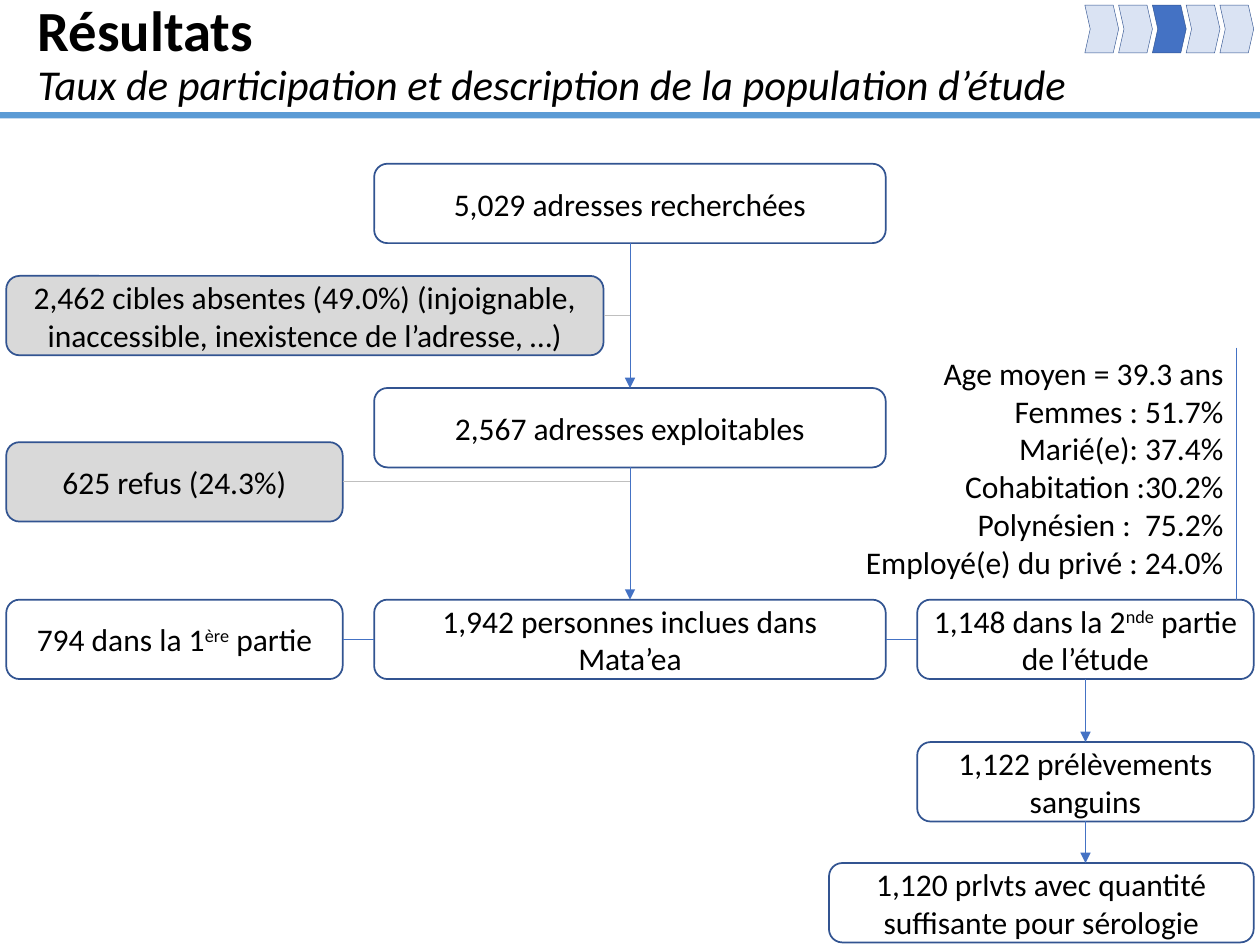
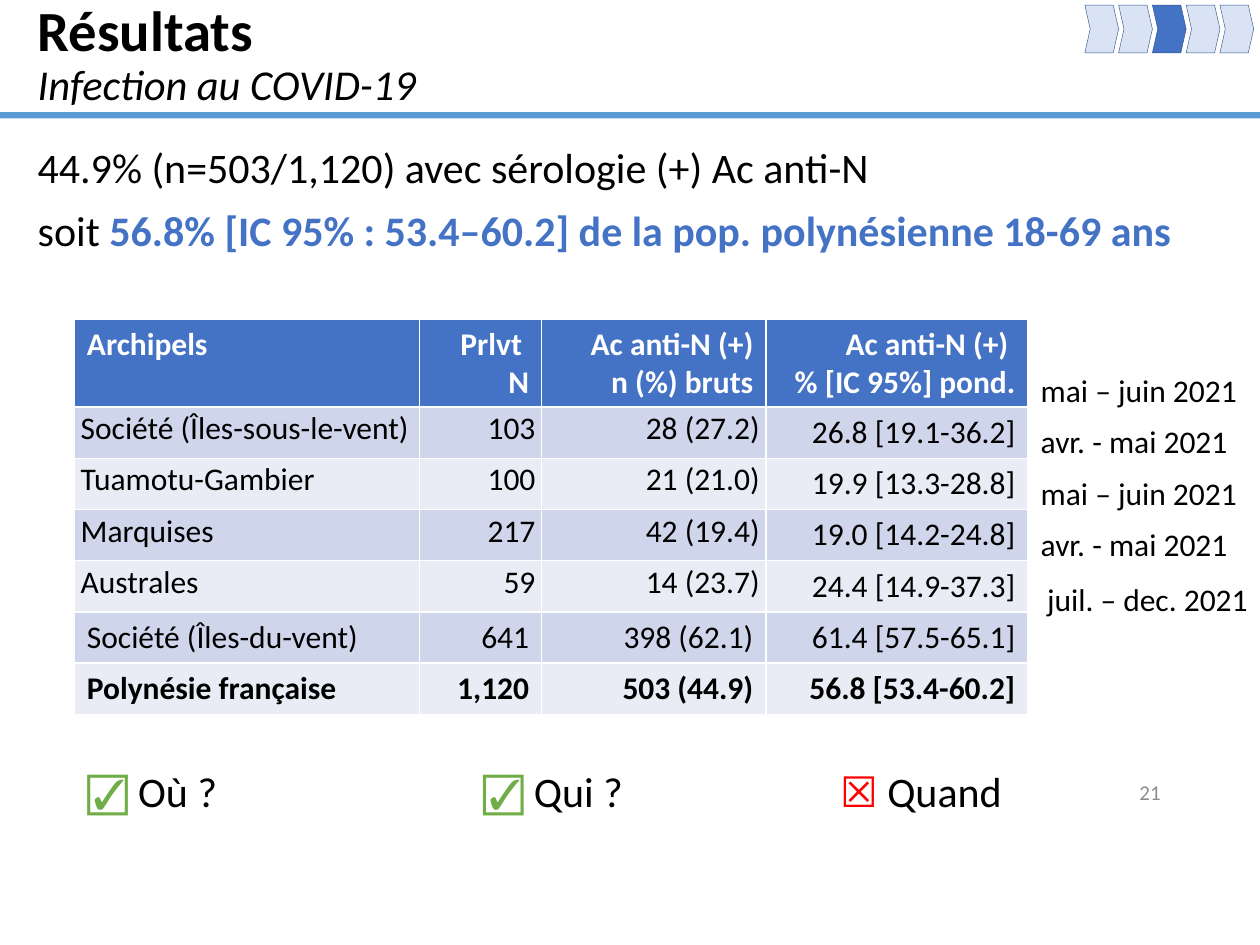
from collections import namedtuple

from lxml import etree
from pptx import Presentation
from pptx.dml.color import RGBColor
from pptx.enum.shapes import MSO_CONNECTOR, MSO_SHAPE
from pptx.enum.text import MSO_ANCHOR, PP_ALIGN
from pptx.oxml.ns import qn
from pptx.util import Inches, Pt

SLIDE_WIDTH, SLIDE_HEIGHT = Inches(10), Inches(7.5)
COLUMN, ROW = SLIDE_WIDTH / 100, SLIDE_HEIGHT / 75
FONT = "Calibri"
BLACK, WHITE, GREY, MUTED = "000000", "FFFFFF", "D9D9D9", "8C8C8C"
BLUE, BAND, OUTLINE, PALE = "4472C4", "5B9BD5", "325491", "DAE3F3"
BRANCH, GREEN, RED = "BFBFBF", "70AD47", "FF0000"
STRIPES = ("CFD5EA", "E9EBF5")
LEFT, CENTER, RIGHT, JUSTIFY = PP_ALIGN.LEFT, PP_ALIGN.CENTER, PP_ALIGN.RIGHT, PP_ALIGN.JUSTIFY
TOP, MIDDLE = MSO_ANCHOR.TOP, MSO_ANCHOR.MIDDLE
RECTANGLE, ROUNDED, CHEVRON = MSO_SHAPE.RECTANGLE, MSO_SHAPE.ROUNDED_RECTANGLE, MSO_SHAPE.CHEVRON
STRAIGHT = MSO_CONNECTOR.STRAIGHT


class Box(namedtuple("Box", "left top width height")):
    @property
    def right(self):
        return self.left + self.width

    @property
    def bottom(self):
        return self.top + self.height

    @property
    def center(self):
        return self.left + self.width / 2

    @property
    def middle(self):
        return self.top + self.height / 2

    def inner(self, left, top, width, height):
        return Box(self.left + left, self.top + top, width, height)

    def lengths(self):
        return (int(self.left * COLUMN), int(self.top * ROW),
                int(self.width * COLUMN), int(self.height * ROW))


def rgb(color):
    return RGBColor.from_string(color)


def add_spans(para, spans, size=18, color=BLACK, bold=False):
    for item in spans:
        words, style = (item, {}) if isinstance(item, str) else item
        span = para.add_run()
        span.text = words
        span.font.name = FONT
        span.font.size = Pt(style.get("size", size))
        span.font.bold = style.get("bold", bold)
        span.font.italic = style.get("italic", False)
        span.font.color.rgb = rgb(style.get("color", color))
        if "raised" in style:
            span.font._element.set("baseline", "30000")


def write(frame, lines, align=LEFT, gap=0, spacing=None, after=None, **style):
    for index, spans in enumerate(lines):
        para = frame.add_paragraph() if index else frame.paragraphs[0]
        para.alignment = align
        if index and gap:
            para.space_before = Pt(gap)
        if spacing:
            para.line_spacing = spacing
        if after:
            para.space_after = Pt(after)
        add_spans(para, spans, **style)


def add_text(page, box, lines, anchor=TOP, **style):
    frame = page.shapes.add_textbox(*box.lengths()).text_frame
    frame.word_wrap = True
    frame.vertical_anchor = anchor
    write(frame, lines, **style)
    return frame


def add_block(page, kind, box, fill, line=None, weight=1):
    block = page.shapes.add_shape(kind, *box.lengths())
    block.shadow.inherit = False
    block.fill.solid()
    block.fill.fore_color.rgb = rgb(fill)
    if line:
        block.line.color.rgb = rgb(line)
        block.line.width = Pt(weight)
    else:
        block.line.fill.background()
    return block


def add_line(page, start, end, color=BLUE, arrow=False):
    (x1, y1), (x2, y2) = start, end
    line = page.shapes.add_connector(STRAIGHT, int(x1 * COLUMN), int(y1 * ROW),
                                     int(x2 * COLUMN), int(y2 * ROW))
    line.line.color.rgb = rgb(color)
    line.line.width = Pt(0.5)
    if arrow:
        etree.SubElement(line.line._get_or_add_ln(), qn("a:tailEnd"), type="triangle")
    etree.SubElement(line._element.spPr, qn("a:effectLst"))


def add_progress(page, box, steps=5, active=2):
    pitch = box.width / steps
    for step in range(steps):
        chevron = add_block(page, CHEVRON, box.inner(step * pitch, 0, pitch, box.height),
                            BLUE if step == active else PALE, OUTLINE, 0.25)
        chevron.adjustments[0] = 0.16


def add_header(page, box, subtitle):
    add_block(page, RECTANGLE, box.inner(0, 8.9, box.width, 0.5), BAND)
    frame = add_text(page, box.inner(2, 0, 91.1, 8.9), [[("Résultats", {"size": 32.4, "bold": True})]],
                     anchor=MIDDLE, spacing=0.9)
    para = frame.paragraphs[0]
    para.add_line_break()
    add_spans(para, [(subtitle, {"size": 24.3, "italic": True})])
    add_progress(page, box.inner(86.1, 0.4, 13.4, 3.8))


def add_profile(page, box):
    add_text(page, box, [[line] for line in (
        "Age moyen = 39.3 ans", "Femmes : 51.7%", "Marié(e): 37.4%",
        "Cohabitation :30.2%", "Polynésien :  75.2%", "Employé(e) du privé : 24.0%")], align=RIGHT)
    add_line(page, (box.right, box.top), (box.right, box.bottom))


def add_flow(page, box):
    height, side, main = 6.3, 26.7, 40.6
    main_left = (box.width - main) / 2
    side_left = box.width - side
    included_top = 34.6
    raised = {"raised": True}
    nodes = {
        "searched": (main_left, 0, main, WHITE, ["5,029 adresses recherchées"]),
        "usable": (main_left, 17.8, main, WHITE, ["2,567 adresses exploitables"]),
        "included": (main_left, included_top, main, WHITE, ["1,942 personnes inclues dans Mata’ea"]),
        "first": (0, included_top, side, WHITE, ["794 dans la 1", ("ère", raised), " partie"]),
        "second": (side_left, included_top, side, WHITE,
                   ["1,148 dans la 2", ("nde", raised), " partie de l’étude"]),
        "samples": (side_left, 45.9, side, WHITE, ["1,122 prélèvements sanguins"]),
        "enough": (box.width - 33.7, 55.5, 33.7, WHITE,
                   ["1,120 prlvts avec quantité suffisante pour sérologie"]),
        "absent": (0, 8.9, 47.4, GREY,
                   ["2,462 cibles absentes (49.0%) (injoignable, inaccessible, inexistence de l’adresse, …)"]),
        "refused": (0, 22.1, side, GREY, ["625 refus (24.3%)"]),
    }
    places = {}
    for name, (left, top, width, fill, spans) in nodes.items():
        places[name] = box.inner(left, top, width, height)
        frame = add_block(page, ROUNDED, places[name], fill, OUTLINE).text_frame
        frame.word_wrap = True
        frame.vertical_anchor = MIDDLE
        write(frame, [spans], align=CENTER)

    for name in ("absent", "refused"):
        node = places[name]
        add_line(page, (node.right, node.middle), (box.center, node.middle), BRANCH)
    for before, after in (("first", "included"), ("included", "second")):
        start, end = places[before], places[after]
        add_line(page, (start.right, start.middle), (end.left, end.middle))
    for before, after, column in (("searched", "usable", "usable"), ("usable", "included", "usable"),
                                  ("second", "samples", "samples"), ("samples", "enough", "samples")):
        x = places[column].center
        add_line(page, (x, places[before].bottom), (x, places[after].top), arrow=True)

    second = places["second"]
    add_profile(page, Box(box.right - 33.7, second.top - 20, 32.3, 20))


def add_grid(page, box, widths, heights):
    table = page.shapes.add_table(len(heights), len(widths), *box.lengths()).table
    for column, width in zip(table.columns, widths):
        column.width = int(width * COLUMN)
    for row, height in zip(table.rows, heights):
        row.height = int(height * ROW)
    return table


def fill_cell(cell, lines, fill=None, tight=False, **style):
    if fill:
        cell.fill.solid()
        cell.fill.fore_color.rgb = rgb(fill)
    else:
        cell.fill.background()
    if tight:
        cell.margin_left = cell.margin_right = Inches(0.05)
        cell.margin_top = cell.margin_bottom = 0
        style.update(spacing=1.07, after=8)
    write(cell.text_frame, [[line] for line in lines], **style)


def add_archipelagos(page, box):
    header = (["Archipels"], ["Prlvt ", "N"], ["Ac anti-N (+)", "n (%) bruts"],
              ["Ac anti-N (+) ", "% [IC 95%] pond."])
    rows = (
        ("Société (Îles-sous-le-vent)", "103", "28 (27.2)", "26.8 [19.1-36.2]"),
        ("Tuamotu-Gambier", "100", "21 (21.0)", "19.9 [13.3-28.8]"),
        ("Marquises", "217", "42 (19.4)", "19.0 [14.2-24.8]"),
        ("Australes", "59", "14 (23.7)", "24.4 [14.9-37.3]"),
        ("Société (Îles-du-vent)", "641", "398 (62.1)", "61.4 [57.5-65.1]"),
        ("Polynésie française", "1,120", "503 (44.9)", "56.8 [53.4-60.2]"),
    )
    table = add_grid(page, box, (27.4, 9.7, 17.8, 20.8), [6.9] + [4.07] * len(rows))
    for column, lines in enumerate(header):
        fill_cell(table.cell(0, column), lines, BLUE, align=RIGHT if column else LEFT,
                  color=WHITE, bold=True)
    for index, row in enumerate(rows):
        for column, value in enumerate(row):
            fill_cell(table.cell(index + 1, column), [value], STRIPES[index % 2],
                      tight=index < 4 and column < 3, align=RIGHT if column else LEFT,
                      bold=index == len(rows) - 1)


def add_periods(page, box):
    periods = ("", "mai – juin 2021", "avr. - mai 2021", "mai – juin 2021",
               "avr. - mai 2021", "juil. – dec. 2021", "")
    table = add_grid(page, box, [box.width], [4.07] * len(periods))
    table.first_row = table.horz_banding = False
    for index, period in enumerate(periods):
        cell = table.cell(index, 0)
        fill_cell(cell, [period] if period else [], tight=1 <= index <= 4)
        cell.margin_right = Inches(0.05)


def add_questions(page, box):
    tick, cross = ("☑ ", {"color": GREEN}), ("☒ ", {"color": RED})
    frame = add_text(page, box, [[tick, "Où ?\t", tick, "Qui ?\t", cross, "Quand"]],
                     align=JUSTIFY, after=10, size=24)
    stops = etree.SubElement(frame.paragraphs[0]._p.get_or_add_pPr(), qn("a:tabLst"))
    for stop in (3.14, 5.98):
        etree.SubElement(stops, qn("a:tab"), pos=str(Inches(stop)), algn="l")


def add_infection(page, box):
    add_text(page, box.inner(2, 0, 94.8, 12), [
        ["44.9% (n=503/1,120) avec sérologie (+) Ac anti-N"],
        ["soit ", ("56.8% [IC 95% : 53.4–60.2] de la pop. polynésienne 18-69 ans",
                   {"color": BLUE, "bold": True})],
    ], size=24, gap=10, spacing=0.9)
    add_archipelagos(page, box.inner(5.9, 14.1, 75.7, 31.3))
    add_periods(page, box.inner(82.1, 14.1, 17.9, 28.5))
    add_questions(page, box.inner(5.9, 49.1, 75.7, 5))
    add_text(page, box.inner(70.6, 49.7, 22.5, 4), [["21"]], anchor=MIDDLE,
             align=RIGHT, size=12, color=MUTED)


def main():
    deck = Presentation()
    deck.slide_width, deck.slide_height = SLIDE_WIDTH, SLIDE_HEIGHT
    slides = (
        ("Taux de participation et description de la population d’étude", add_flow, Box(0.5, 13, 99, 62)),
        ("Infection au COVID-19", add_infection, Box(0, 11.2, 100, 63.8)),
    )
    for subtitle, add_content, box in slides:
        page = deck.slides.add_slide(deck.slide_layouts[6])
        add_header(page, Box(0, 0, 100, 9.4), subtitle)
        add_content(page, box)
    deck.save("out.pptx")


if __name__ == "__main__":
    main()
